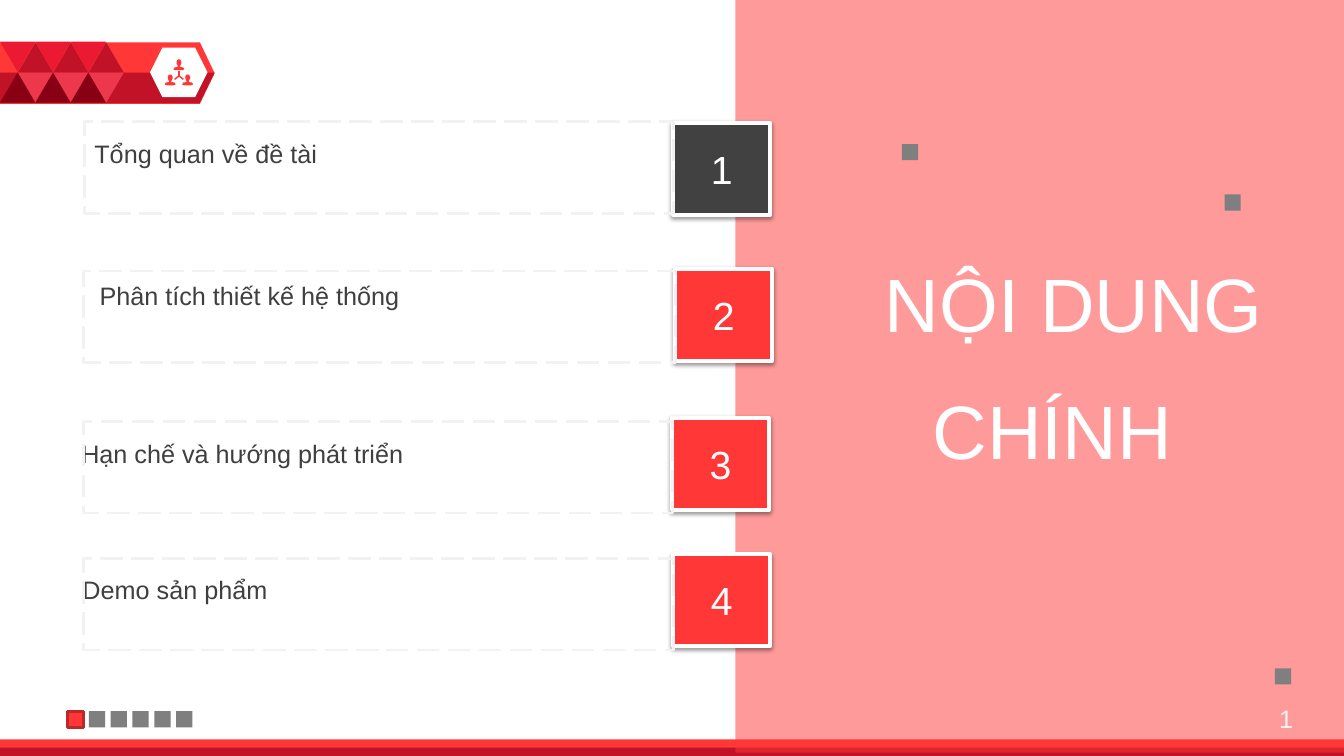
from lxml import etree
from pptx import Presentation
from pptx.dml.color import RGBColor
from pptx.enum.dml import MSO_LINE
from pptx.enum.shapes import MSO_CONNECTOR, MSO_SHAPE
from pptx.enum.text import MSO_ANCHOR, PP_ALIGN
from pptx.oxml.ns import qn
from pptx.util import Cm, Pt

RECT = MSO_SHAPE.RECTANGLE
TRI = MSO_SHAPE.ISOSCELES_TRIANGLE
ARROW = MSO_SHAPE.PENTAGON
HEX = MSO_SHAPE.HEXAGON
LINE = MSO_CONNECTOR.STRAIGHT
DASH = MSO_LINE.LONG_DASH
LEFT, MID, RIGHT = PP_ALIGN.LEFT, PP_ALIGN.CENTER, PP_ALIGN.RIGHT
TOP, CENTER = MSO_ANCHOR.TOP, MSO_ANCHOR.MIDDLE

COLORS = {
    "red": "FF3737", "deep": "C21227", "bright": "EB1932", "rose": "ED374D",
    "wine": "880014", "edge": "BD2929", "white": "FFFFFF", "pale": "F2F2F2",
    "gray": "7F7F7F", "dark": "414141", "ink": "3F3F3F", "black": "000000",
}

# Topic, badge colour, then left and top of the badge, label and frame in cm
TOPICS = [
    ("Tổng quan về đề tài", "dark", (16.97, 3.1), (2.13, 3.37), (2.13, 3.07)),
    ("Phân tích thiết kế hệ thống", "red", (17.02, 6.78), (2.26, 6.95), (2.11, 6.83)),
    ("Hạn chế và hướng phát triển", "red", (16.94, 10.54), (1.8, 10.92), (2.11, 10.62)),
    ("Demo sản phẩm", "red", (16.97, 13.97), (1.83, 14.35), (2.11, 14.07)),
]
BADGE_W, ROW_H = 2.44, 2.31
DOT = 0.41


def color(name):
    return RGBColor.from_string(COLORS[name])


def paint(shape, fill=None, line=None, width=0):
    shape.shadow.inherit = False
    if fill:
        shape.fill.solid()
        shape.fill.fore_color.rgb = color(fill)
    else:
        shape.fill.background()
    if line:
        shape.line.color.rgb = color(line)
        shape.line.width = Pt(width)
    else:
        shape.line.fill.background()
    return shape


def block(slide, kind, x, y, w, h, fill=None, line=None, width=0):
    shape = slide.shapes.add_shape(kind, Cm(x), Cm(y), Cm(w), Cm(h))
    return paint(shape, fill, line, width)


def outline(slide, points, fill):
    spots = [(Cm(x), Cm(y)) for x, y in points]
    pen = slide.shapes.build_freeform(*spots[0])
    pen.add_line_segments(spots[1:])
    return paint(pen.convert_to_shape(), fill)


def write(shape, text, size, tint, align=LEFT, anchor=TOP):
    frame = shape.text_frame
    frame.word_wrap = True
    frame.vertical_anchor = anchor
    para = frame.paragraphs[0]
    para.text = text
    para.alignment = align
    para.font.name = "Arial"
    para.font.size = Pt(size)
    para.font.color.rgb = color(tint)


def label(slide, x, y, w, h, text, size, tint, align=LEFT):
    box = slide.shapes.add_textbox(Cm(x), Cm(y), Cm(w), Cm(h))
    write(box, text, size, tint, align)


def fade(shape, percent):
    """Set the opacity of a solid fill."""
    tint = next(shape._element.spPr.iter(qn("a:srgbClr")))
    etree.SubElement(tint, qn("a:alpha"), val=str(percent * 1000))


def shade(shape):
    """Cast a soft shadow straight down."""
    effects = shape._element.spPr.find(qn("a:effectLst"))
    cast = etree.SubElement(effects, qn("a:outerShdw"), blurRad="40000",
                            dist="20000", dir="5400000", rotWithShape="0")
    tint = etree.SubElement(cast, qn("a:srgbClr"), val=COLORS["black"])
    etree.SubElement(tint, qn("a:alpha"), val="38000")


def person(slide, x, y):
    half = [(0.03, 0), (0.06, 0.05), (0.06, 0.1), (0.03, 0.16),
            (0.03, 0.19), (0.11, 0.2), (0.14, 0.25), (0.08, 0.27)]
    right = [(x + dx, y + dy) for dx, dy in half]
    left = [(x - dx, y + dy) for dx, dy in reversed(half)]
    outline(slide, right + left, "red")


def spoke(slide, x, y):
    line = slide.shapes.add_connector(LINE, Cm(4.51), Cm(1.91), Cm(x), Cm(y))
    line.line.color.rgb = color("red")
    line.line.width = Pt(1)
    etree.SubElement(line._element.spPr, qn("a:effectLst"))


def banner(slide):
    arrow = block(slide, ARROW, 0, 1.07, 5.41, 1.55, "red")
    arrow.adjustments[0] = 0.24
    outline(slide, [(0, 1.83), (5.41, 1.83), (5.03, 2.6), (0, 2.6)], "deep")
    block(slide, HEX, 3.78, 1.2, 1.45, 1.25, "white")
    for x, y in [(4.51, 1.5), (4.29, 1.88), (4.73, 1.88)]:
        person(slide, x, y)
    for x, y in [(4.51, 1.8), (4.4, 2), (4.62, 2)]:
        spoke(slide, x, y)
    step, high = 0.89, 0.76
    kinds = [(0, 1.05, 180, "bright"), (0.45, 1.07, 0, "deep"),
             (0.45, 1.83, 180, "rose"), (0, 1.83, 0, "wine")]
    for col in range(3):
        for x, y, turn, fill in kinds:
            tri = block(slide, TRI, x + col * step, y, step, high, fill)
            tri.rotation = turn


def heading(slide):
    title = slide.shapes.title
    title.left, title.top = Cm(15.14), Cm(6.35)
    title.width, title.height = Cm(16.94), Cm(2.57)
    write(title, "NỘI DUNG", 54, "white", RIGHT)
    slide.shapes._spTree.append(title._element)
    label(slide, 12.85, 9.55, 16.94, 2.57, "CHÍNH", 54, "white", RIGHT)


def topic(slide, num, text, fill, badge, note, frame):
    tile = block(slide, RECT, *badge, BADGE_W, ROW_H, fill, "white", 3)
    shade(tile)
    write(tile, str(num), 28, "white", MID, CENTER)
    label(slide, *note, 13.5, 1.02, text, 18, "ink")
    box = block(slide, RECT, *frame, badge[0] - frame[0], ROW_H, None, "pale", 2)
    box.line.dash_style = DASH


def dots(slide):
    block(slide, RECT, 1.7, 17.93, DOT, DOT, "red", "edge", 2)
    row = [(2.24 + 0.55 * i, 17.92) for i in range(5)]
    for x, y in row + [(32.13, 16.84), (22.73, 3.63), (30.86, 4.9)]:
        block(slide, RECT, x, y, DOT, DOT, "gray")


def main():
    deck = Presentation()
    deck.slide_width, deck.slide_height = Cm(33.87), Cm(19.05)
    slide = deck.slides.add_slide(deck.slide_layouts[5])
    banner(slide)
    block(slide, RECT, 0, 18.63, 33.87, 0.42, "red")
    block(slide, RECT, 0, 18.84, 33.87, 0.21, "deep")
    panel = block(slide, RECT, 18.53, 0, 15.34, 18.97, "red")
    fade(panel, 50)
    heading(slide)
    for num, item in enumerate(TOPICS, 1):
        topic(slide, num, *item)
    dots(slide)
    label(slide, 31.34, 17.6, 1.5, 1.02, "1", 18, "pale", RIGHT)
    deck.save("out.pptx")


if __name__ == "__main__":
    main()
